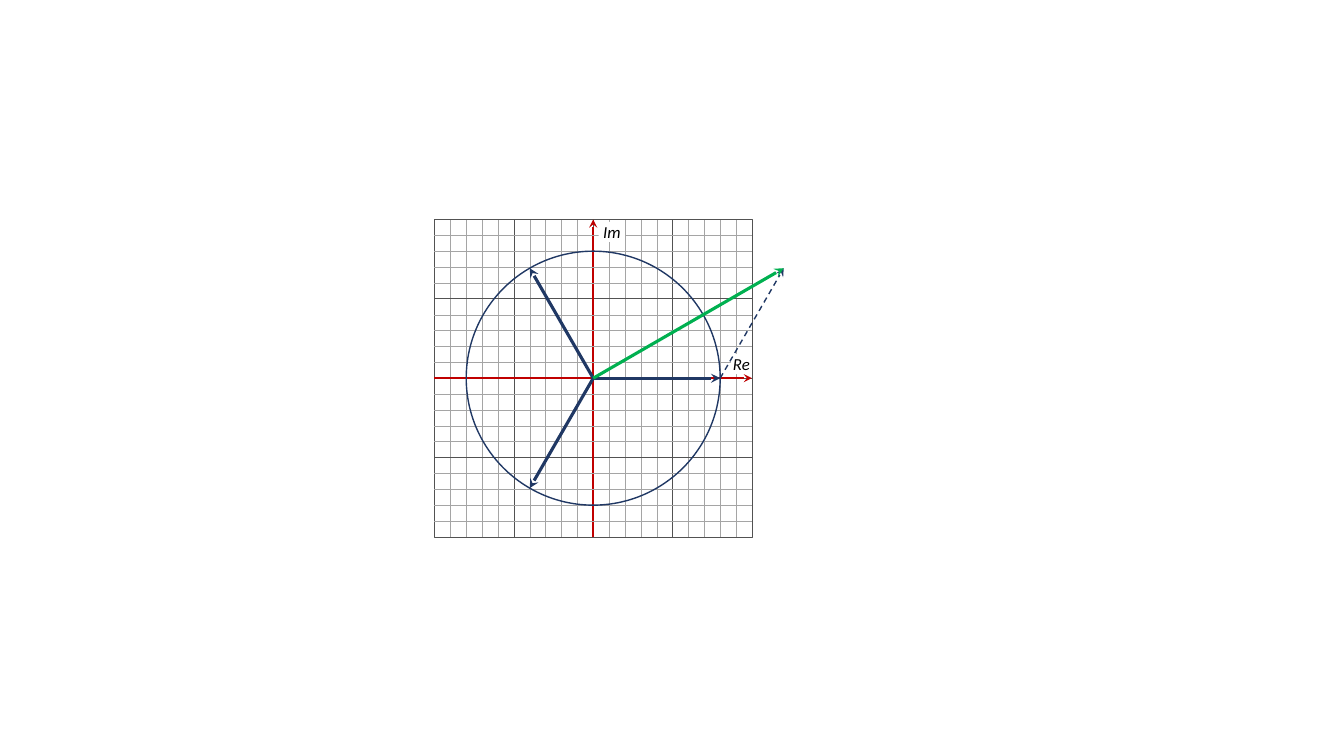
"""Build a slide with three phasors in the complex plane and a vector sum."""
import math

import pptx
import pptx.dml.color
import pptx.enum.dml
import pptx.enum.shapes
import pptx.enum.text
import pptx.oxml
import pptx.oxml.ns
import pptx.util

Cm = pptx.util.Cm
Pt = pptx.util.Pt
RGBColor = pptx.dml.color.RGBColor
MSO_SHAPE = pptx.enum.shapes.MSO_SHAPE

LIGHT = RGBColor(0xA5, 0xA5, 0xA5)
DARK = RGBColor(0x52, 0x52, 0x52)
RED = RGBColor(0xC0, 0x00, 0x00)
NAVY = RGBColor(0x20, 0x38, 0x64)
GREEN = RGBColor(0x00, 0xB0, 0x50)
WHITE = RGBColor(0xFF, 0xFF, 0xFF)
BLACK = RGBColor(0x00, 0x00, 0x00)

CENTER_X, CENTER_Y = 14.95, 9.53
CELL = 0.4
HALF = 10
MAJOR = 5
RADIUS = 8
TOP, LEFT, BOTTOM, RIGHT = range(4)


def place(x, y):
    """Turn plane coordinates in cells into slide lengths."""
    return Cm(CENTER_X + x * CELL), Cm(CENTER_Y - y * CELL)


def add_line(s, start, end, color, width, arrow=False, dashed=False):
    """Draw a straight line between two points of the plane."""
    c = s.shapes.add_connector(
        pptx.enum.shapes.MSO_CONNECTOR.STRAIGHT, *place(*start), *place(*end))
    c.line.color.rgb = color
    c.line.width = Pt(width)
    if dashed:
        c.line.dash_style = pptx.enum.dml.MSO_LINE.DASH
    sp_pr = c.element.spPr
    if arrow:
        ln = sp_pr.find(pptx.oxml.ns.qn("a:ln"))
        tail = pptx.oxml.parse_xml(
            f'<a:tailEnd {pptx.oxml.ns.nsdecls("a")} type="stealth"/>')
        ln.append(tail)
    sp_pr.append(pptx.oxml.parse_xml(
        f'<a:effectLst {pptx.oxml.ns.nsdecls("a")}/>'))
    return c


def add_outline(s, kind, half, color, width):
    """Draw an unfilled shape centred on the origin."""
    sp = s.shapes.add_shape(
        kind, *place(-half, half), Cm(2 * half * CELL), Cm(2 * half * CELL))
    sp.shadow.inherit = False
    sp.fill.background()
    sp.line.color.rgb = color
    sp.line.width = Pt(width)
    return sp


def add_label(s, text, left, top, width):
    """Draw an axis name on a white patch."""
    sp = s.shapes.add_shape(
        MSO_SHAPE.RECTANGLE, Cm(left), Cm(top), Cm(width), Cm(0.51))
    sp.shadow.inherit = False
    sp.fill.solid()
    sp.fill.fore_color.rgb = WHITE
    sp.line.fill.background()
    tf = sp.text_frame
    tf.margin_left = tf.margin_right = tf.margin_top = tf.margin_bottom = 0
    tf.word_wrap = True
    tf.vertical_anchor = pptx.enum.text.MSO_ANCHOR.MIDDLE
    tf.text = text
    p = tf.paragraphs[0]
    p.alignment = pptx.enum.text.PP_ALIGN.CENTER
    font = p.runs[0].font
    font.name = "Calibri"
    font.size = Pt(12)
    font.italic = True
    font.color.rgb = BLACK


def add_grid_line(s, offset, vertical, color, width):
    """Draw one line across the whole grid."""
    if vertical:
        return add_line(s, (offset, -HALF), (offset, HALF), color, width)
    return add_line(s, (-HALF, offset), (HALF, offset), color, width)


def add_axis(s, frame, vertical, color, width, arrow=False):
    """Draw a line through the origin, joined to the frame."""
    start, end = ((0, -HALF), (0, HALF)) if vertical else ((-HALF, 0), (HALF, 0))
    c = add_line(s, start, end, color, width, arrow)
    c.begin_connect(frame, BOTTOM if vertical else LEFT)
    c.end_connect(frame, TOP if vertical else RIGHT)


def add_plane(s):
    """Draw the grid, its frame and the two axes."""
    inner = range(1 - HALF, HALF)
    minor = [i for i in inner if i % MAJOR]
    for offset in minor:
        add_grid_line(s, offset, True, LIGHT, 0.25)
    frame = add_outline(s, MSO_SHAPE.RECTANGLE, HALF, DARK, 0.5)
    for vertical in (True, False):
        for offset in (-MAJOR, MAJOR):
            add_grid_line(s, offset, vertical, DARK, 0.5)
        add_axis(s, frame, vertical, DARK, 0.5)
    for vertical in (True, False):
        add_axis(s, frame, vertical, RED, 1, arrow=True)
    for offset in minor:
        add_grid_line(s, offset, False, LIGHT, 0.25)


def add_phasors(s):
    """Draw the circle, its three phasors and the vector sum."""
    add_outline(s, MSO_SHAPE.OVAL, RADIUS, NAVY, 1)
    tips = [(RADIUS * math.cos(math.radians(a)), RADIUS * math.sin(math.radians(a)))
            for a in (0, 120, 240)]
    for tip in tips:
        add_line(s, (0, 0), tip, NAVY, 2.25, arrow=True)
    first, _, third = tips
    total = (first[0] - third[0], first[1] - third[1])
    add_line(s, first, total, NAVY, 1, arrow=True, dashed=True)
    add_line(s, (0, 0), total, GREEN, 2.25, arrow=True)


def main():
    """Build and save the slide."""
    prs = pptx.Presentation()
    prs.slide_width, prs.slide_height = Cm(33.87), Cm(19.05)
    s = prs.slides.add_slide(prs.slide_layouts[6])
    add_plane(s)
    add_label(s, "Re", 18.42, 8.92, 0.53)
    add_label(s, "Im", 15.09, 5.59, 0.66)
    add_phasors(s)
    prs.save("out.pptx")


if __name__ == "__main__":
    main()
